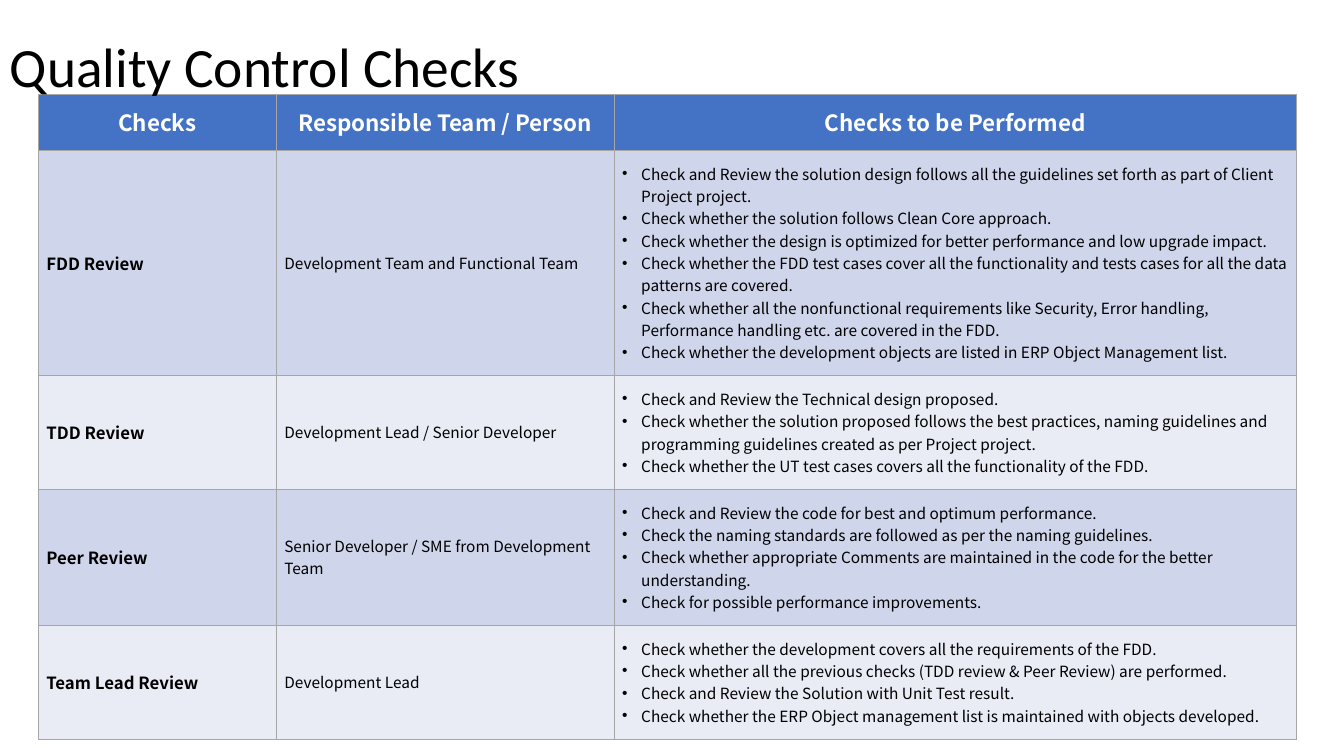
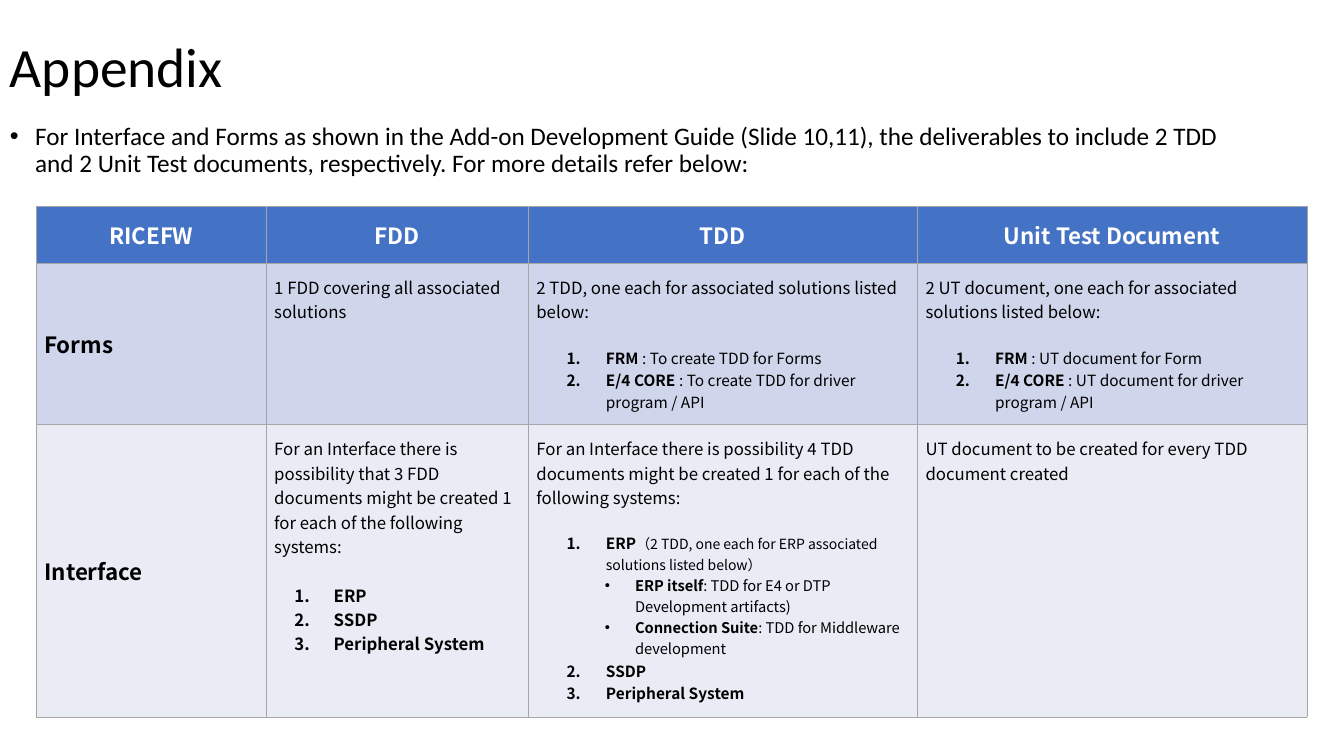
"""Build the quality control checks and appendix slides."""
import lxml.etree
import pptx
import pptx.dml.color
import pptx.enum.text
import pptx.oxml.ns
import pptx.util

Inches = pptx.util.Inches
Pt = pptx.util.Pt
RGBColor = pptx.dml.color.RGBColor
Anchor = pptx.enum.text.MSO_ANCHOR
Align = pptx.enum.text.PP_ALIGN
qn = pptx.oxml.ns.qn

BLACK = RGBColor(0x00, 0x00, 0x00)
WHITE = RGBColor(0xFF, 0xFF, 0xFF)
HEADER_BLUE = RGBColor(0x44, 0x72, 0xC4)
BANDS = (RGBColor(0xCF, 0xD5, 0xEA), RGBColor(0xE9, 0xEB, 0xF5))
GRID_GREY = RGBColor(0xA6, 0xA6, 0xA6)

HEADING_FONT = "Calibri"
TABLE_FONT = "Noto Sans CJK JP"

CELL_FORMAT = {
    "margin_left": Inches(0.08),
    "margin_right": Inches(0.08),
    "margin_top": Inches(0.12),
    "margin_bottom": Inches(0.12),
}
TITLE_FORMAT = {"name": HEADING_FONT, "size": Pt(39.6)}
INTRO_FORMAT = {"name": HEADING_FONT, "size": Pt(18)}

LISTS = {
    "check": {"indent": 0.19, "hang": 0.19, "level": 0, "mark": "•"},
    "intro": {"indent": 0.25, "hang": 0.25, "level": 0, "mark": "•"},
    "system": {"indent": 0.59, "hang": 0.39, "level": 1, "mark": "1."},
    "solution": {"indent": 0.69, "hang": 0.39, "level": 1, "mark": "1."},
    "artifact": {"indent": 0.98, "hang": 0.30, "level": 2, "mark": "•"},
}


def plain(text, size=12):
    return text, size, False


def strong(text, size=12):
    return text, size, True


def para(*runs, style=None, gap=0):
    return {"runs": runs, "style": style, "gap": gap}


def check_row(review, team, checks):
    return [
        [para(strong(review))],
        [para(plain(team, 11))],
        [para(plain(check, 11), style="check") for check in checks],
    ]


def solutions(lead, form_text, driver_text):
    return [
        para(plain(lead)),
        para(strong("FRM", 11), plain(form_text, 11), style="solution", gap=16),
        para(strong("E/4 CORE", 11), plain(driver_text, 11), style="solution"),
    ]


CHECK_HEADERS = ["Checks", "Responsible Team / Person", "Checks to be Performed"]
CHECK_ROWS = [
    check_row("FDD Review", "Development Team and Functional Team", [
        "Check and Review the solution design follows all the guidelines set forth "
        "as part of Client Project project.",
        "Check whether the solution follows Clean Core approach.",
        "Check whether the design is optimized for better performance and low upgrade impact.",
        "Check whether the FDD test cases cover all the functionality and tests cases "
        "for all the data patterns are covered.",
        "Check whether all the nonfunctional requirements like Security, Error handling, "
        "Performance handling etc. are covered in the FDD.",
        "Check whether the development objects are listed in ERP Object Management list.",
    ]),
    check_row("TDD Review", "Development Lead / Senior Developer", [
        "Check and Review the Technical design proposed.",
        "Check whether the solution proposed follows the best practices, naming guidelines "
        "and programming guidelines created as per Project project.",
        "Check whether the UT test cases covers all the functionality of the FDD.",
    ]),
    check_row("Peer Review", "Senior Developer / SME from Development Team", [
        "Check and Review the code for best and optimum performance.",
        "Check the naming standards are followed as per the naming guidelines.",
        "Check whether appropriate Comments are maintained in the code for the better "
        "understanding.",
        "Check for possible performance improvements.",
    ]),
    check_row("Team Lead Review", "Development Lead", [
        "Check whether the development covers all the requirements of the FDD.",
        "Check whether all the previous checks (TDD review & Peer Review) are performed.",
        "Check and Review the Solution with Unit Test result.",
        "Check whether the ERP Object management list is maintained with objects developed.",
    ]),
]

DELIVERABLE_HEADERS = ["RICEFW", "FDD", "TDD", "Unit Test Document"]
DELIVERABLE_ROWS = [
    [
        [para(strong("Forms", 16))],
        [para(plain("1 FDD covering all associated solutions"))],
        solutions("2 TDD, one each for associated solutions listed below:",
                  " : To create TDD for Forms",
                  " : To create TDD for driver program / API"),
        solutions("2 UT document, one each for associated solutions listed below:",
                  " : UT document for Form",
                  " : UT document for driver program / API"),
    ],
    [
        [para(strong("Interface", 16))],
        [
            para(plain("For an Interface there is possibility that 3 FDD documents might "
                       "be created 1 for each of the following systems:")),
            para(strong("ERP"), style="system", gap=17.4),
            para(strong("SSDP"), style="system"),
            para(strong("Peripheral System"), style="system"),
        ],
        [
            para(plain("For an Interface there is possibility 4 TDD documents might "
                       "be created 1 for each of the following systems:")),
            para(strong("ERP", 11),
                 plain("（2 TDD, one each for ERP associated solutions listed below）", 10),
                 style="solution", gap=16),
            para(strong("ERP itself", 10.5),
                 plain(": TDD for E4 or DTP Development artifacts)", 10.5), style="artifact"),
            para(strong("Connection Suite", 10.5),
                 plain(": TDD for Middleware development", 10.5), style="artifact"),
            para(strong("SSDP", 11), style="solution"),
            para(strong("Peripheral System", 11), style="solution"),
        ],
        [para(plain("UT document to be created for every TDD document created"))],
    ],
]


def apply_format(target, values):
    for name, value in values.items():
        setattr(target, name, value)


def add_run(paragraph, text, color, values):
    run = paragraph.add_run()
    run.text = text
    apply_format(run.font, values)
    run.font.color.rgb = color
    east_asian = lxml.etree.SubElement(run.font._element, qn("a:ea"))
    east_asian.set("typeface", values["name"])


def set_list(paragraph, style):
    rule = LISTS[style]
    paragraph.level = rule["level"]
    properties = paragraph._p.get_or_add_pPr()
    properties.set("marL", str(Inches(rule["indent"])))
    properties.set("indent", str(-Inches(rule["hang"])))
    if rule["mark"] == "1.":
        number = lxml.etree.SubElement(properties, qn("a:buAutoNum"))
        number.set("type", "arabicPeriod")
    else:
        lxml.etree.SubElement(properties, qn("a:buFont")).set("typeface", "Arial")
        lxml.etree.SubElement(properties, qn("a:buChar")).set("char", rule["mark"])


def add_heading_text(slide, text, box, values, anchor, style=None):
    frame = slide.shapes.add_textbox(*map(Inches, box)).text_frame
    apply_format(frame, {"word_wrap": True, "vertical_anchor": anchor})
    paragraph = frame.paragraphs[0]
    paragraph.line_spacing = 0.9
    if style:
        set_list(paragraph, style)
    add_run(paragraph, text, BLACK, values)


def add_title(slide, text):
    add_heading_text(slide, text, (0, 0.39, 12.59, 0.59), TITLE_FORMAT, Anchor.MIDDLE)


def add_borders(cell):
    properties = cell._tc.get_or_add_tcPr()
    for side in ("a:lnL", "a:lnR", "a:lnT", "a:lnB"):
        border = lxml.etree.SubElement(properties, qn(side), w=str(Pt(0.25)))
        fill = lxml.etree.SubElement(border, qn("a:solidFill"))
        lxml.etree.SubElement(fill, qn("a:srgbClr"), val=str(GRID_GREY))


def fill_cell(cell, paragraphs, fill, color, anchor, align):
    apply_format(cell, {**CELL_FORMAT, "vertical_anchor": anchor})
    add_borders(cell)
    cell.fill.solid()
    cell.fill.fore_color.rgb = fill
    frame = cell.text_frame
    for index, content in enumerate(paragraphs):
        paragraph = frame.add_paragraph() if index else frame.paragraphs[0]
        apply_format(paragraph, {"alignment": align, "space_before": Pt(content["gap"])})
        if content["style"]:
            set_list(paragraph, content["style"])
        for text, size, bold in content["runs"]:
            add_run(paragraph, text, color,
                    {"name": TABLE_FONT, "size": Pt(size), "bold": bold})


def add_grid(slide, corner, widths, heights, headers, rows, middle_columns):
    size = (sum(widths), sum(heights))
    grid = slide.shapes.add_table(len(heights), len(widths),
                                  *map(Inches, corner + size)).table
    for column, width in zip(grid.columns, widths):
        column.width = Inches(width)
    for row, height in zip(grid.rows, heights):
        row.height = Inches(height)
    for column, header in enumerate(headers):
        fill_cell(grid.cell(0, column), [para(strong(header, 16))],
                  HEADER_BLUE, WHITE, Anchor.TOP, Align.CENTER)
    for row, cells in enumerate(rows, start=1):
        for column, paragraphs in enumerate(cells):
            anchor = Anchor.MIDDLE if column < middle_columns else Anchor.TOP
            fill_cell(grid.cell(row, column), paragraphs,
                      BANDS[(row - 1) % 2], BLACK, anchor, Align.LEFT)


def build_checks(slide):
    add_grid(slide, (0.38, 0.93), (2.36, 3.35, 6.77), (0.56, 2.23, 1.12, 1.34, 1.13),
             CHECK_HEADERS, CHECK_ROWS, middle_columns=3)
    add_title(slide, "Quality Control Checks")


def build_appendix(slide):
    add_title(slide, "Appendix")
    add_heading_text(
        slide,
        "For Interface and Forms as shown in the Add-on Development Guide (Slide 10,11), "
        "the deliverables to include 2 TDD and 2 Unit Test documents, respectively. "
        "For more details refer below:",
        (0, 1.18, 12.59, 5.65), INTRO_FORMAT, Anchor.TOP, style="intro")
    add_grid(slide, (0.36, 2.05), (2.28, 2.6, 3.86, 3.86), (0.56, 1.6, 2.9),
             DELIVERABLE_HEADERS, DELIVERABLE_ROWS, middle_columns=1)


def main():
    deck = pptx.Presentation()
    apply_format(deck, {"slide_width": Inches(13.33), "slide_height": Inches(7.5)})
    for build in (build_checks, build_appendix):
        build(deck.slides.add_slide(deck.slide_layouts[6]))
    deck.save("out.pptx")


if __name__ == "__main__":
    main()
